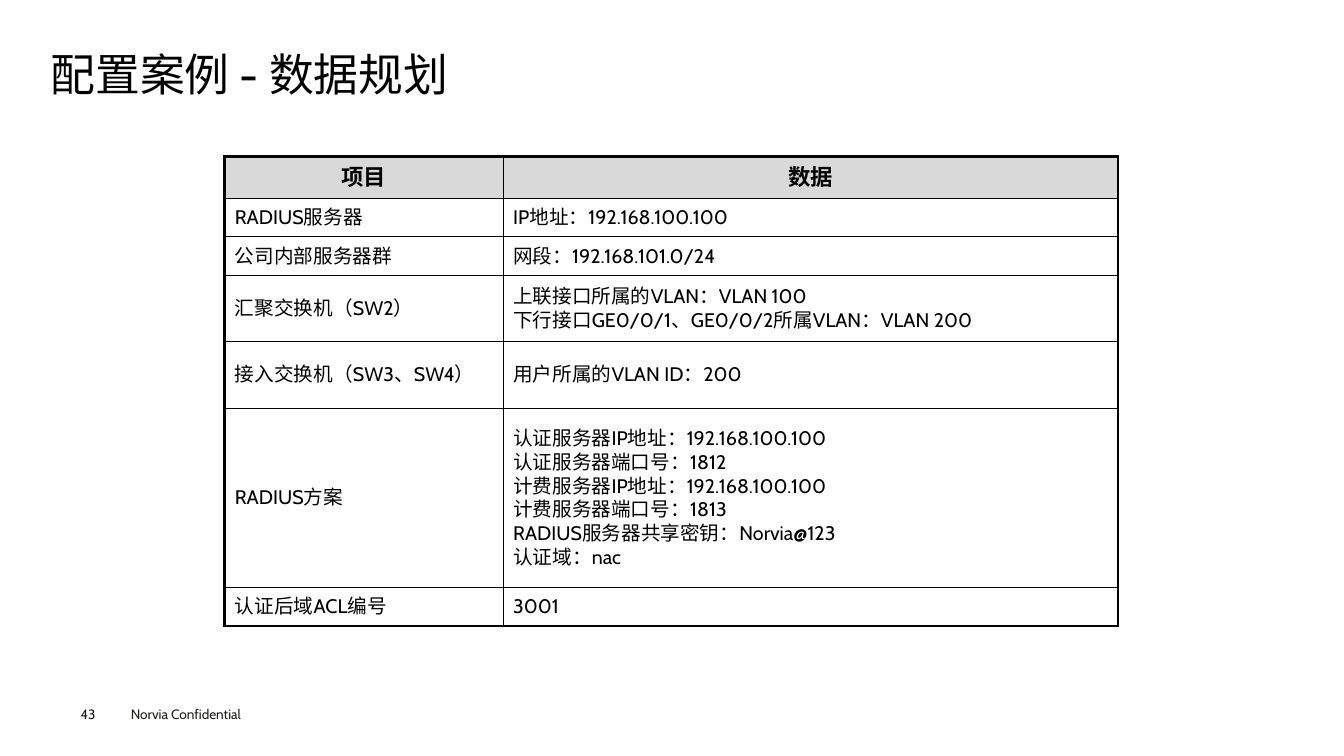
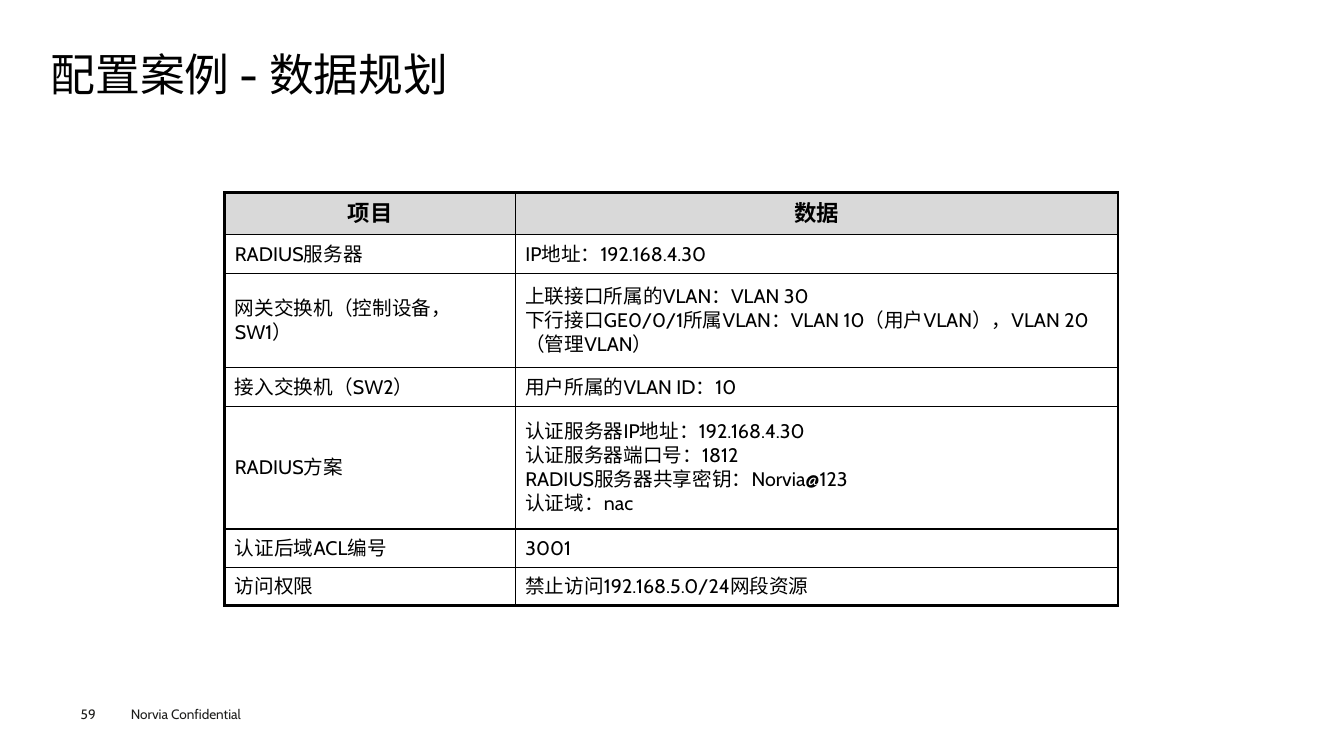
from lxml import etree
from pptx import Presentation
from pptx.dml.color import RGBColor
from pptx.enum.text import MSO_ANCHOR, PP_ALIGN
from pptx.oxml.ns import qn
from pptx.util import Inches, Pt

CENTER, LEFT = PP_ALIGN.CENTER, PP_ALIGN.LEFT
MIDDLE, TOP = MSO_ANCHOR.MIDDLE, MSO_ANCHOR.TOP

FONT = "Cabin"
BLACK, FOOTER_GRAY, HEADER_GRAY = "000000", "1D1D1B", "D9D9D9"
THIN, THICK = 1, 2.25
TABLE_LEFT = 2.23
HEADER_HEIGHT, ROW_HEIGHT, EXTRA_LINE = 0.42, 0.38, 0.28

TITLE = "配置案例 - 数据规划"
FOOTER = "Norvia Confidential"
HEADER = ("项目", ["数据"], 1)

TITLE_STYLE = {"size": 32, "color": BLACK}
FOOTER_STYLE = {"size": 9.7, "color": FOOTER_GRAY}
HEADER_STYLE = {"size": 16, "color": BLACK, "bold": True}
BODY_STYLE = {"size": 14, "color": BLACK, "bold": False}

SLIDES = [
    {
        "number": "43",
        "table_top": 1.55,
        "columns": (2.76, 6.1),
        "rows": [
            ("RADIUS服务器", ["IP地址：192.168.100.100"], 1),
            ("公司内部服务器群", ["网段：192.168.101.0/24"], 1),
            ("汇聚交换机（SW2）", [
                "上联接口所属的VLAN：VLAN 100",
                "下行接口GE0/0/1、GE0/0/2所属VLAN：VLAN 200",
            ], 2),
            ("接入交换机（SW3、SW4）", ["用户所属的VLAN ID：200"], 2),
            ("RADIUS方案", [
                "认证服务器IP地址：192.168.100.100",
                "认证服务器端口号：1812",
                "计费服务器IP地址：192.168.100.100",
                "计费服务器端口号：1813",
                "RADIUS服务器共享密钥：Norvia@123",
                "认证域：nac",
            ], 6),
            ("认证后域ACL编号", ["3001"], 1),
        ],
    },
    {
        "number": "59",
        "table_top": 1.91,
        "columns": (2.88, 5.98),
        "rows": [
            ("RADIUS服务器", ["IP地址：192.168.4.30"], 1),
            ("网关交换机（控制设备，SW1）", [
                "上联接口所属的VLAN：VLAN 30",
                "下行接口GE0/0/1所属VLAN：VLAN 10（用户VLAN），VLAN 20（管理VLAN）",
            ], 3),
            ("接入交换机（SW2）", ["用户所属的VLAN ID：10"], 1),
            ("RADIUS方案", [
                "认证服务器IP地址：192.168.4.30",
                "认证服务器端口号：1812",
                "RADIUS服务器共享密钥：Norvia@123",
                "认证域：nac",
            ], 4),
            ("认证后域ACL编号", ["3001"], 1),
            ("访问权限", ["禁止访问192.168.5.0/24网段资源"], 1),
        ],
    },
]


def rgb(color):
    return RGBColor.from_string(color)


def write(text_frame, lines, style, alignment=LEFT, line_spacing=None):
    for index, line in enumerate(lines):
        paragraph = text_frame.paragraphs[0] if index == 0 else text_frame.add_paragraph()
        paragraph.alignment = alignment
        paragraph.line_spacing = line_spacing
        run = paragraph.add_run()
        run.text = line
        settings = {"name": FONT, "size": Pt(style["size"]), "bold": style.get("bold")}
        for name, value in settings.items():
            setattr(run.font, name, value)
        run.font.color.rgb = rgb(style["color"])
        latin = run.font._element.find(qn("a:latin"))
        east_asian = etree.Element(qn("a:ea"), typeface=FONT)
        latin.addnext(east_asian)


def add_text(slide, box, text, style, margin=0, anchor=TOP, line_spacing=None):
    shape = slide.shapes.add_textbox(*map(Inches, box))
    frame = shape.text_frame
    settings = {"word_wrap": True, "vertical_anchor": anchor}
    for name, value in settings.items():
        setattr(frame, name, value)
    if margin == 0:
        for side in ("left", "top", "right", "bottom"):
            setattr(frame, "margin_" + side, 0)
    write(frame, [text], style, line_spacing=line_spacing)


def set_borders(cell, widths):
    properties = cell._tc.get_or_add_tcPr()
    for side, width in widths.items():
        line = etree.SubElement(properties, qn("a:ln" + side), w=str(Pt(width)))
        fill = etree.SubElement(line, qn("a:solidFill"))
        etree.SubElement(fill, qn("a:srgbClr"), val=BLACK)


def add_plan_table(slide, top, columns, body_rows):
    rows = [HEADER, *body_rows]
    heights = [HEADER_HEIGHT] + [
        ROW_HEIGHT + EXTRA_LINE * (line_count - 1) for _, _, line_count in body_rows
    ]
    frame = slide.shapes.add_table(
        len(rows), len(columns), Inches(TABLE_LEFT), Inches(top),
        Inches(sum(columns)), Inches(sum(heights)),
    )
    table = frame.table
    for column, width in zip(table.columns, columns):
        column.width = Inches(width)
    for row, height in zip(table.rows, heights):
        row.height = Inches(height)

    last_row, last_column = len(rows) - 1, len(columns) - 1
    for row_index, (item, data, _) in enumerate(rows):
        is_header = row_index == 0
        for column_index, lines in enumerate(([item], data)):
            cell = table.cell(row_index, column_index)
            cell.vertical_anchor = MIDDLE
            outer_edges = {
                "L": column_index == 0,
                "R": column_index == last_column,
                "T": is_header,
                "B": row_index == last_row,
            }
            set_borders(cell, {
                side: THICK if outer else THIN for side, outer in outer_edges.items()
            })
            if is_header:
                cell.fill.solid()
                cell.fill.fore_color.rgb = rgb(HEADER_GRAY)
                write(cell.text_frame, lines, HEADER_STYLE, CENTER)
            else:
                cell.fill.background()
                write(cell.text_frame, lines, BODY_STYLE)


def main():
    presentation = Presentation()
    presentation.slide_width = Inches(13.33)
    presentation.slide_height = Inches(7.5)
    for content in SLIDES:
        slide = presentation.slides.add_slide(presentation.slide_layouts[6])
        add_text(slide, (1.2, 6.95, 1.6, 0.27), FOOTER, FOOTER_STYLE, margin=None)
        add_text(slide, (0.8, 7, 0.55, 0.16), content["number"], FOOTER_STYLE)
        add_text(slide, (0.5, 0.49, 12.31, 0.54), TITLE, TITLE_STYLE,
                 anchor=MIDDLE, line_spacing=0.9)
        add_plan_table(slide, content["table_top"], content["columns"], content["rows"])
    presentation.save("out.pptx")


if __name__ == "__main__":
    main()
